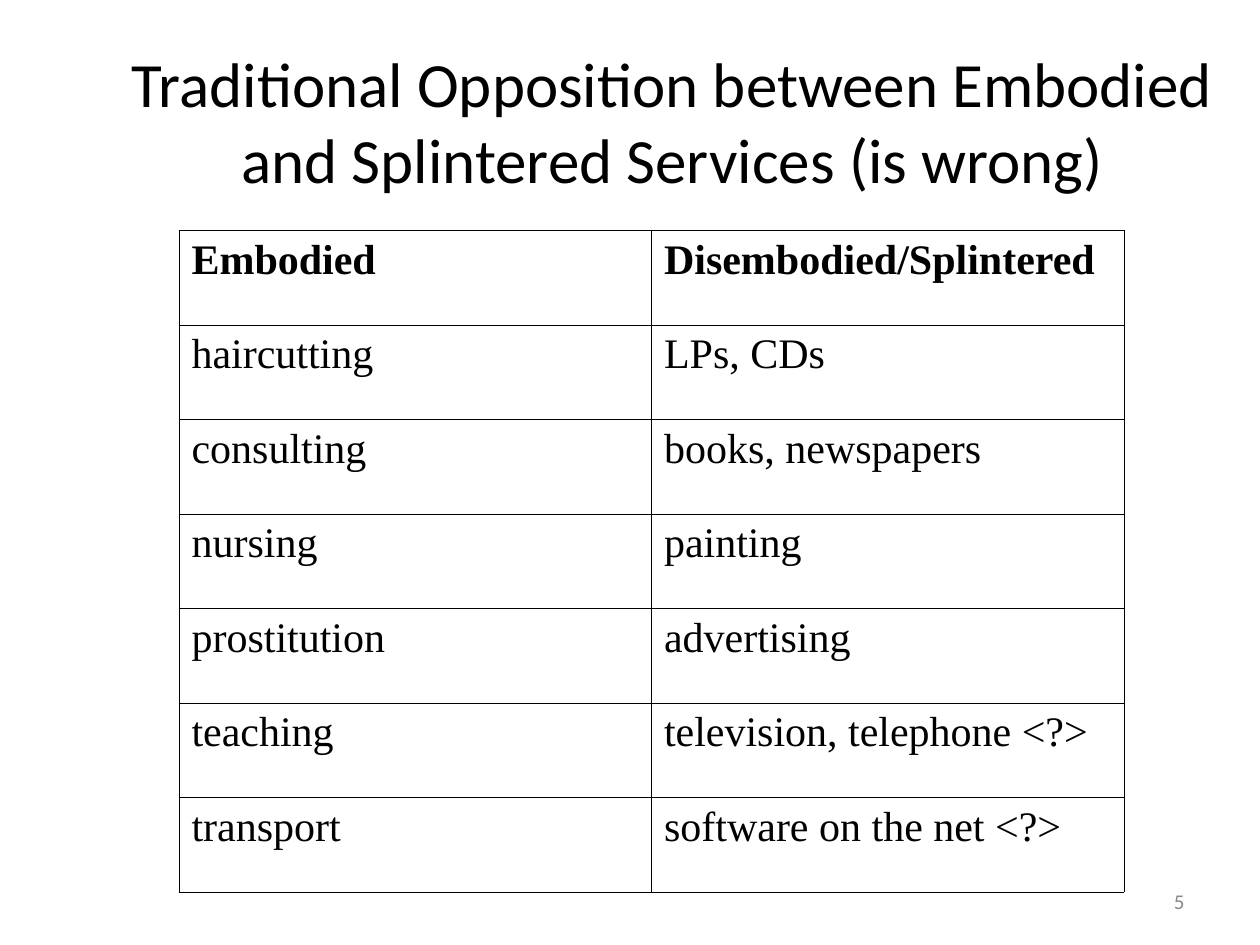
from lxml import etree
from pptx import Presentation
from pptx import util as u
from pptx.dml.color import RGBColor
from pptx.enum import text
from pptx.oxml import ns

COLORS = {"ink": "000000", "paper": "FFFFFF", "number": "898989"}
FORMATS = {
    "title": {"name": "Calibri", "size": u.Pt(36), "bold": False},
    "number": {"name": "Calibri", "size": u.Pt(12), "bold": False},
    "header": {"name": "Times New Roman", "size": u.Pt(24), "bold": True},
    "body": {"name": "Times New Roman", "size": u.Pt(24), "bold": False},
}
SERVICES = [
    ("Embodied", "Disembodied/Splintered"),
    ("haircutting", "LPs, CDs"),
    ("consulting", "books, newspapers"),
    ("nursing", "painting"),
    ("prostitution", "advertising"),
    ("teaching", "television, telephone <?>"),
    ("transport", "software on the net <?>"),
]


def write(frame, words, style, color, alignment):
    """Write one formatted paragraph into a text frame."""
    paragraph = frame.paragraphs[0]
    paragraph.alignment = alignment
    run = paragraph.add_run()
    run.text = words
    for name, value in FORMATS[style].items():
        setattr(run.font, name, value)
    run.font.color.rgb = RGBColor.from_string(COLORS[color])


def add_label(slide, box, words, style, color, alignment):
    """Place a vertically centred text box."""
    frame = slide.shapes.add_textbox(*map(u.Inches, box)).text_frame
    frame.word_wrap = True
    frame.vertical_anchor = text.MSO_ANCHOR.MIDDLE
    write(frame, words, style, color, alignment)


def add_borders(cell):
    """Draw thin lines on the four sides of a cell."""
    properties = cell._tc.get_or_add_tcPr()
    for index, side in enumerate(("lnL", "lnR", "lnT", "lnB")):
        line = etree.Element(ns.qn(f"a:{side}"), w=str(u.Pt(0.45)))
        fill = etree.SubElement(line, ns.qn("a:solidFill"))
        etree.SubElement(fill, ns.qn("a:srgbClr"), val=COLORS["ink"])
        properties.insert(index, line)


def add_services(slide, box):
    """Fill the box with the evenly divided table of services."""
    size = len(SERVICES), len(SERVICES[0])
    table = slide.shapes.add_table(*size, *map(u.Inches, box)).table
    for row, entries in enumerate(SERVICES):
        for column, words in enumerate(entries):
            cell = table.cell(row, column)
            cell.fill.solid()
            cell.fill.fore_color.rgb = RGBColor.from_string(COLORS["paper"])
            add_borders(cell)
            style = "body" if row else "header"
            write(cell.text_frame, words, style, "ink", text.PP_ALIGN.LEFT)


def main():
    """Build and save the presentation."""
    presentation = Presentation()
    presentation.slide_width = u.Inches(10)
    presentation.slide_height = u.Inches(7.5)
    slide = presentation.slides.add_slide(presentation.slide_layouts[6])
    add_label(slide, (7.17, 6.95, 2.33, 0.4), "5", "number", "number",
              text.PP_ALIGN.RIGHT)
    add_label(slide, (0.67, 0.33, 9.33, 1.25),
              "Traditional Opposition between Embodied and Splintered "
              "Services (is wrong)", "title", "ink", text.PP_ALIGN.CENTER)
    add_services(slide, (1.42, 1.83, 7.5, 5.25))
    presentation.save("out.pptx")


if __name__ == "__main__":
    main()
